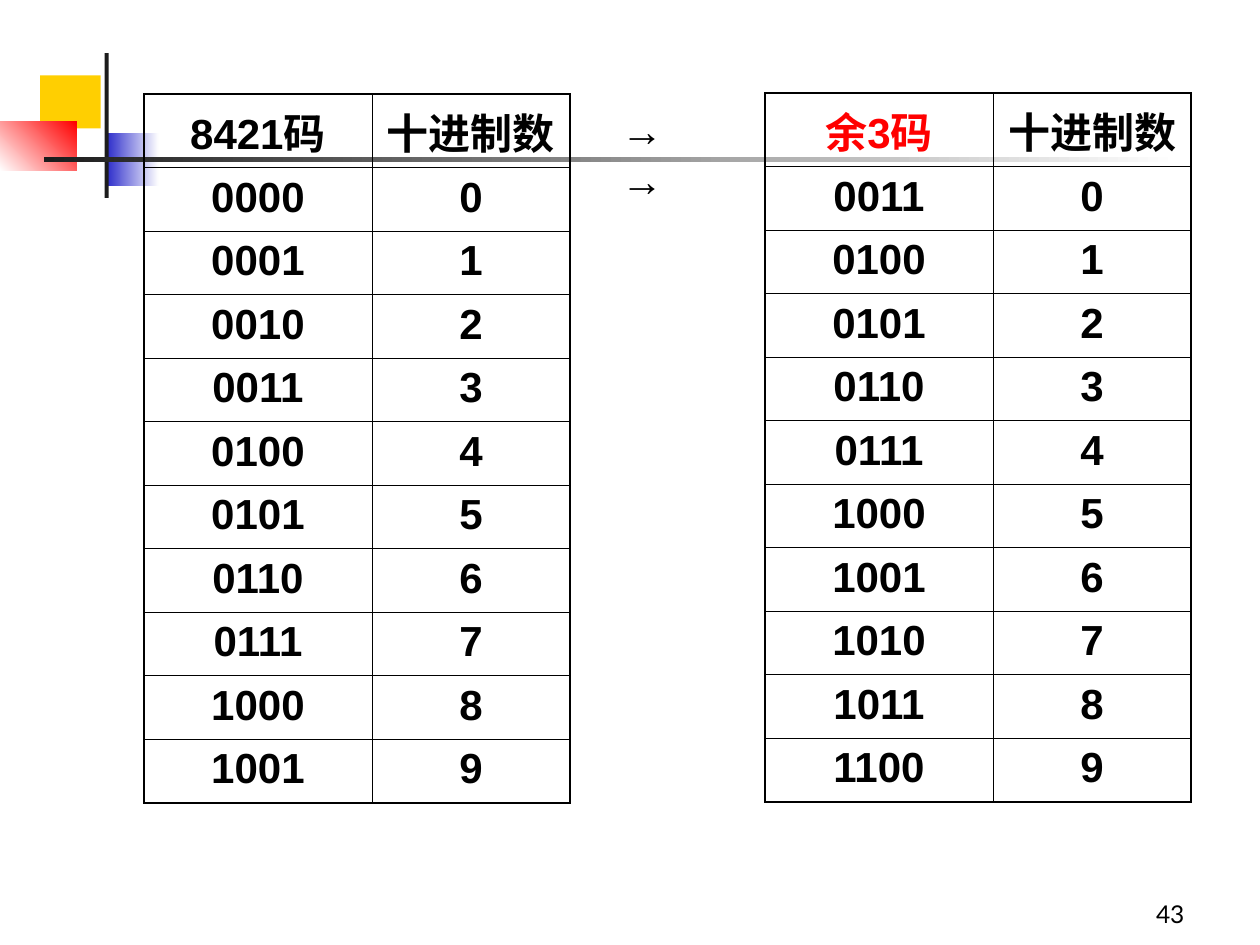
"""Build a slide that compares 8421 code with excess-3 code."""
from pptx import Presentation
from pptx.dml.color import RGBColor
from pptx.enum.shapes import MSO_SHAPE
from pptx.enum.text import MSO_ANCHOR, MSO_AUTO_SIZE, PP_ALIGN
from pptx.oxml import parse_xml
from pptx.oxml.ns import nsdecls
from pptx.util import Cm, Pt

BLACK, CHARCOAL, WHITE, RED = "000000", "1C1C1C", "FFFFFF", "FF0000"


def paint(color, value):
    color.rgb = RGBColor.from_string(value)


def write(frame, text, size=24, font="Arial", color=BLACK, bold=True,
          align=PP_ALIGN.LEFT, before=0):
    para = frame.paragraphs[0]
    para.alignment = align
    para.space_before = Pt(before)
    span = para.add_run()
    span.text = text
    span.font.size = Pt(size)
    span.font.name = font
    span.font.bold = bold
    paint(span.font.color, color)


class CodeSlide:
    thin, thick = Pt(0.45), Pt(1.08)
    row_height = Cm(1.28)
    column_widths = Cm(4.6), Cm(3.99)

    def __init__(self, deck):
        self.page = deck.slides.add_slide(deck.slide_layouts[6])

    def block(self, left, top, width, height, *colors, angle=0):
        box = self.page.shapes.add_shape(
            MSO_SHAPE.RECTANGLE, Cm(left), Cm(top), Cm(width), Cm(height))
        box.shadow.inherit = False
        box.line.fill.background()
        if len(colors) == 1:
            box.fill.solid()
            paint(box.fill.fore_color, colors[0])
        else:
            box.fill.gradient()
            box.fill.gradient_angle = angle
            for stop, color in zip(box.fill.gradient_stops, colors):
                paint(stop.color, color)

    def label(self, left, top, width, height, text, wrap=True,
              anchor=MSO_ANCHOR.TOP, **style):
        box = self.page.shapes.add_textbox(Cm(left), Cm(top), Cm(width), Cm(height))
        frame = box.text_frame
        frame.word_wrap = wrap
        frame.auto_size = MSO_AUTO_SIZE.NONE if wrap else MSO_AUTO_SIZE.SHAPE_TO_FIT_TEXT
        frame.vertical_anchor = anchor
        write(frame, text, **style)

    def borders(self, cell, outer_edges):
        properties = cell._tc.get_or_add_tcPr()
        for edge, outer in zip("LRTB", outer_edges):
            width = self.thick if outer else self.thin
            properties.append(parse_xml(
                f'<a:ln{edge} {nsdecls("a")} w="{width}"><a:solidFill>'
                f'<a:srgbClr val="{BLACK}"/></a:solidFill></a:ln{edge}>'))

    def code_table(self, left, top, heading, offset, heading_color=BLACK):
        rows = [(heading, "十进制数")]
        rows += [(f"{digit + offset:04b}", str(digit)) for digit in range(10)]
        last_row, last_column = len(rows) - 1, len(self.column_widths) - 1
        table = self.page.shapes.add_table(
            len(rows), len(self.column_widths), Cm(left), Cm(top),
            sum(self.column_widths), self.row_height * len(rows)).table
        table.first_row = table.horz_banding = False
        for column, width in zip(table.columns, self.column_widths):
            column.width = width
        for r, texts in enumerate(rows):
            for c, text in enumerate(texts):
                cell = table.cell(r, c)
                self.borders(cell, (c == 0, c == last_column, r == 0, r == last_row))
                cell.fill.background()
                color = heading_color if r == c == 0 else BLACK
                write(cell.text_frame, text, color=color,
                      align=PP_ALIGN.CENTER, before=6)


def main():
    deck = Presentation()
    deck.slide_width, deck.slide_height = Cm(25.4), Cm(19.05)
    slide = CodeSlide(deck)
    slide.block(0.81, 1.52, 1.22, 1.07, "FFCF01")
    slide.block(2.18, 2.69, 1.02, 1.07, "3333CC", WHITE)
    slide.block(0, 2.46, 1.55, 0.97, WHITE, RED, angle=45)
    slide.block(2.11, 1.07, 0.08, 2.92, CHARCOAL)
    slide.block(0.89, 3.17, 22.86, 0.09, CHARCOAL, WHITE)
    slide.label(18.85, 17.58, 5.28, 1.27, "43", anchor=MSO_ANCHOR.BOTTOM,
                size=14, font="Lato", bold=False, align=PP_ALIGN.RIGHT)
    slide.code_table(2.9, 1.9, "8421码", offset=0)
    slide.code_table(15.42, 1.88, "余3码", offset=3, heading_color=RED)
    slide.label(12.27, 1.98, 2.18, 1.27, "→→", wrap=False, font="Times New Roman")
    deck.save("out.pptx")


if __name__ == "__main__":
    main()
